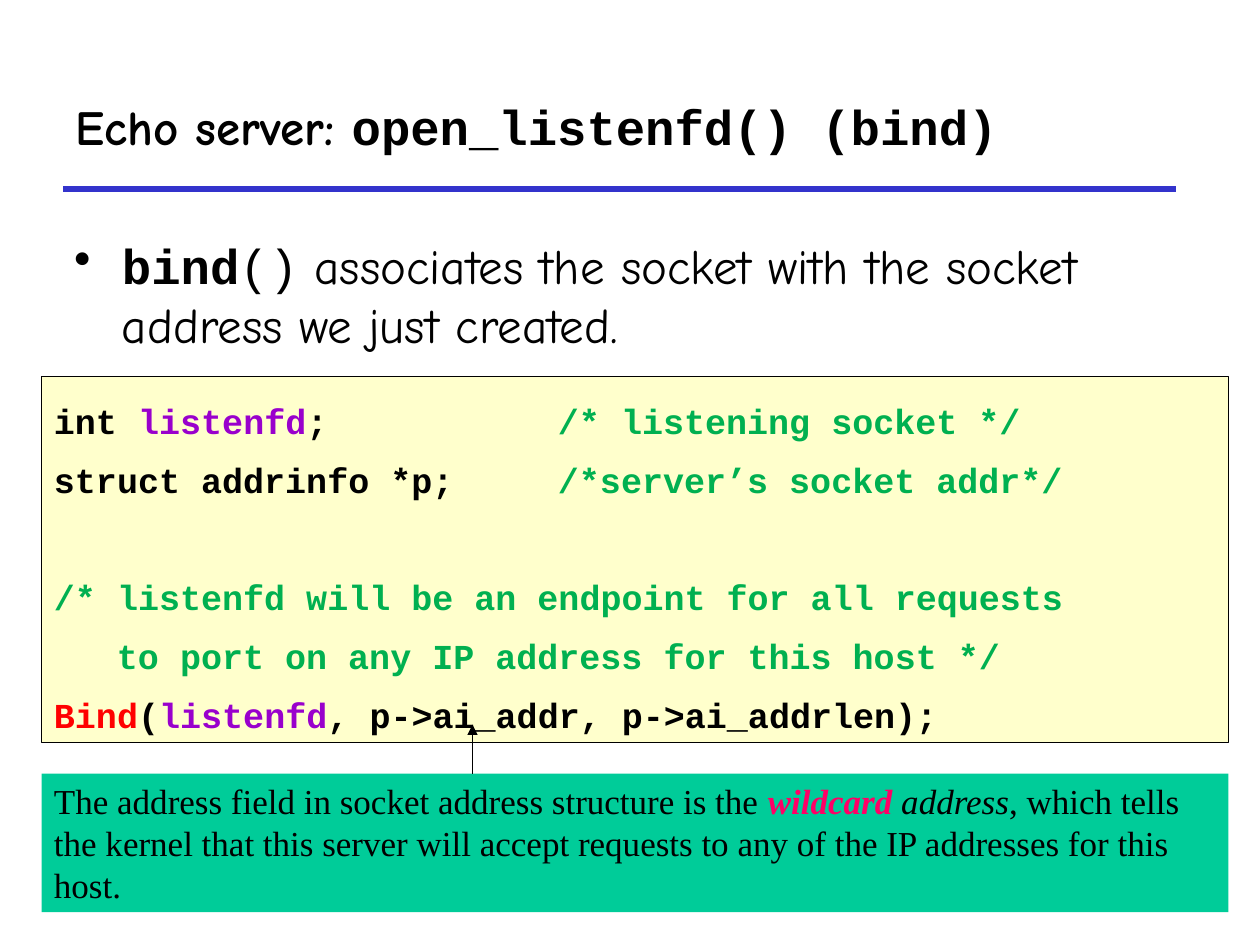
from lxml import etree
from pptx import Presentation
from pptx.dml.color import RGBColor
from pptx.enum.shapes import MSO_CONNECTOR, MSO_SHAPE
from pptx.enum.text import MSO_ANCHOR, PP_ALIGN
from pptx.oxml.ns import qn
from pptx.util import Inches, Pt

STRAIGHT = MSO_CONNECTOR.STRAIGHT
RECT = MSO_SHAPE.RECTANGLE
TOP, MIDDLE = MSO_ANCHOR.TOP, MSO_ANCHOR.MIDDLE
LEFT = PP_ALIGN.LEFT

BLACK = RGBColor(0x00, 0x00, 0x00)
BLUE = RGBColor(0x33, 0x33, 0xCC)
CREAM = RGBColor(0xFF, 0xFF, 0xCC)
TEAL = RGBColor(0x00, 0xCC, 0x99)
PURPLE = RGBColor(0x99, 0x00, 0xCC)
GREEN = RGBColor(0x00, 0xB0, 0x50)
RED = RGBColor(0xFF, 0x00, 0x00)
PINK = RGBColor(0xFF, 0x00, 0x66)

HAND, CODE, SERIF = "Comic Neue", "Courier New", "Times New Roman"

prs = Presentation()
prs.slide_width, prs.slide_height = Inches(10), Inches(7.5)
s = prs.slides.add_slide(prs.slide_layouts[6])


def add_box(left, top, width, height, fill=None, anchor=TOP):
    """Add a wrapped text area, filled when a colour is given."""
    area = [Inches(v) for v in (left, top, width, height)]
    if fill is None:
        sp = s.shapes.add_textbox(*area)
    else:
        sp = s.shapes.add_shape(RECT, *area)
        sp.shadow.inherit = False
        sp.fill.solid()
        sp.fill.fore_color.rgb = fill
        sp.line.fill.background()
    sp.text_frame.word_wrap = True
    sp.text_frame.vertical_anchor = anchor
    return sp


def add_line(x1, y1, x2, y2, color, width):
    """Add a straight line without a shadow."""
    line = s.shapes.add_connector(STRAIGHT, *[Inches(v) for v in (x1, y1, x2, y2)])
    line.line.color.rgb = color
    line.line.width = Pt(width)
    etree.SubElement(line._element.spPr, qn("a:effectLst"))
    return line


# Title and rule
add_line(0.5, 1.5, 9.33, 1.5, BLUE, 3)
p = add_box(0.5, 0.5, 8.83, 1, anchor=MIDDLE).text_frame.paragraphs[0]
p.font.size, p.font.bold, p.font.color.rgb = Pt(28), True, BLACK
for text, font in [("Echo server: ", HAND), ("open_listenfd() (bind)", CODE)]:
    r = p.add_run()
    r.text, r.font.name = text, font

# Bullet
p = add_box(0.49, 1.82, 9.03, 1.1).text_frame.paragraphs[0]
p.space_before = Pt(7)
p.font.size, p.font.color.rgb = Pt(28), BLACK
pPr = p._p.get_or_add_pPr()
pPr.set("marL", str(Inches(0.38)))
pPr.set("indent", str(Inches(-0.38)))
bullet = etree.Element(qn("a:buChar"), char="•")
pPr.find(qn("a:defRPr")).addprevious(bullet)
for text, font, bold in [
    ("bind", CODE, True),
    ("()", CODE, False),
    (" associates the socket with the socket address we just created.", HAND, False),
]:
    r = p.add_run()
    r.text, r.font.name, r.font.bold = text, font, bold

# Code listing: paragraphs of (text, colour) runs
code = [
    [("int ", BLACK), ("listenfd", PURPLE), (";\t", BLACK),
     ("/* listening socket */", GREEN)],
    [("struct addrinfo *p;\t", BLACK), ("/*server’s socket addr*/", GREEN)],
    [("/* listenfd will be an endpoint for all requests", GREEN),
     ("to port on any IP address for this host */", GREEN)],
    [("Bind", RED), ("(", BLACK), ("listenfd", PURPLE),
     (", p->ai_addr, p->ai_addrlen);", BLACK)],
]
COMMENT = 2
sp = add_box(0.33, 2.99, 9.42, 2.9, CREAM)
sp.line.color.rgb, sp.line.width = BLACK, Pt(0.25)
tf = sp.text_frame
for i, runs in enumerate(code):
    p = tf.paragraphs[0] if i == 0 else tf.add_paragraph()
    p.alignment, p.line_spacing = LEFT, 1.4
    p.font.name, p.font.size, p.font.bold = CODE, Pt(20), True
    pPr = p._p.get_or_add_pPr()
    if i == COMMENT:
        # Gap above, second line indented by three characters
        p.space_before = Pt(33.5)
        pPr.set("marL", str(Inches(0.5)))
        pPr.set("indent", str(Inches(-0.5)))
    elif i < COMMENT:
        # Trailing comments line up at one tab stop
        tabs = etree.Element(qn("a:tabLst"))
        etree.SubElement(tabs, qn("a:tab"), pos=str(Inches(4)), algn="l")
        pPr.find(qn("a:defRPr")).addprevious(tabs)
    for j, (text, color) in enumerate(runs):
        if i == COMMENT and j:
            p.add_line_break()
        r = p.add_run()
        r.text, r.font.color.rgb = text, color

# Explanation
p = add_box(0.33, 6.14, 9.42, 1.1, TEAL).text_frame.paragraphs[0]
p.alignment = LEFT
p.font.name, p.font.size = SERIF, Pt(20)
for text, color, bold, italic in [
    ("The address field in socket address structure is the ", BLACK, False, False),
    ("wildcard", PINK, True, True),
    (" address", BLACK, False, True),
    (", which tells the kernel that this server will accept requests to any of "
     "the IP addresses for this host.", BLACK, False, False),
]:
    r = p.add_run()
    r.text, r.font.color.rgb = text, color
    r.font.bold, r.font.italic = bold, italic

# Arrow from the explanation to the code
arrow = add_line(3.75, 6.14, 3.75, 5.75, BLACK, 0.75)
etree.SubElement(arrow.line._get_or_add_ln(), qn("a:tailEnd"), type="triangle")

prs.save("out.pptx")
